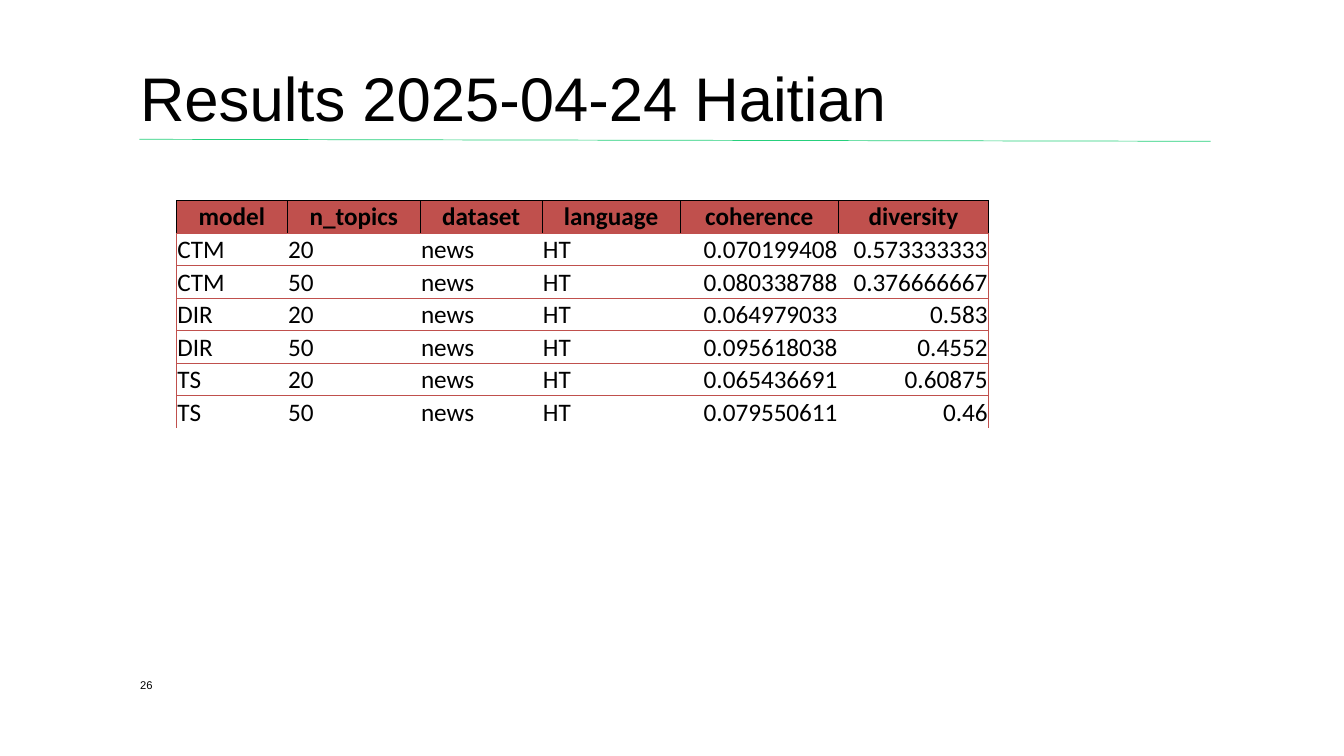
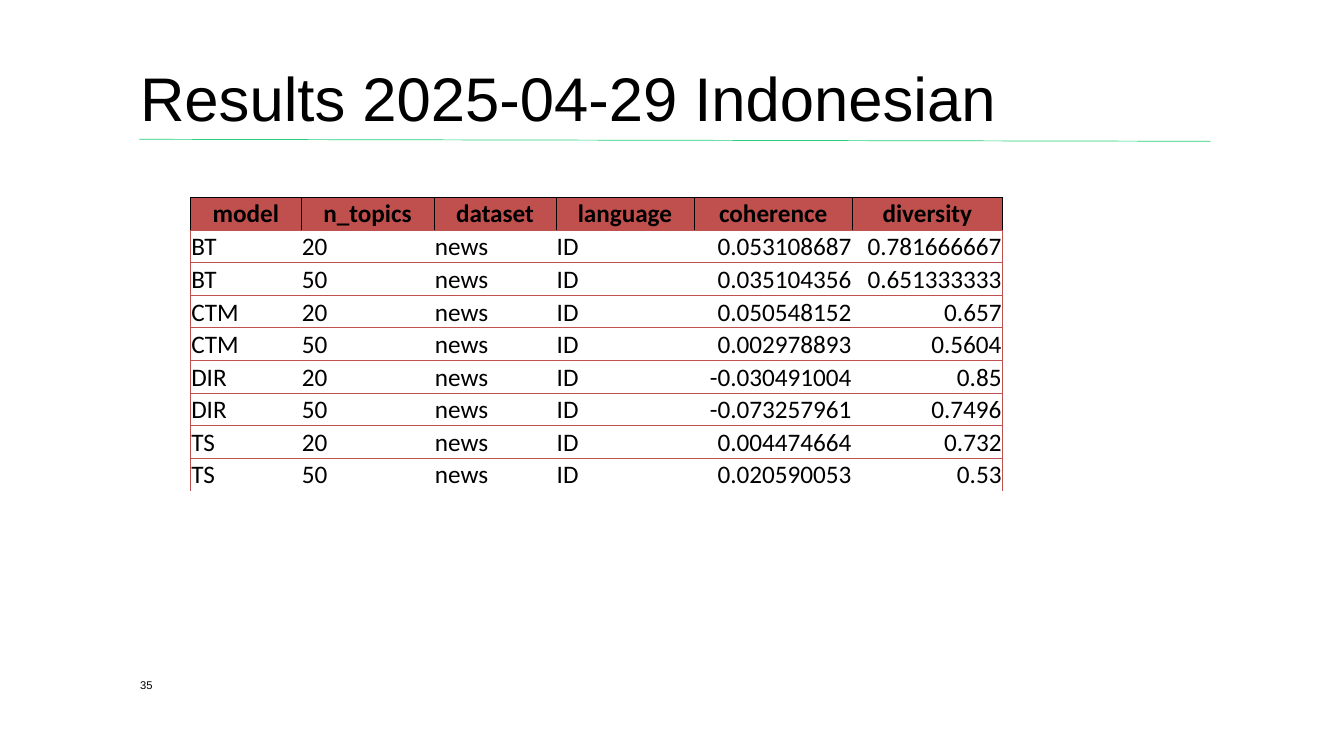
from dataclasses import dataclass

from lxml.etree import SubElement
from pptx import Presentation
from pptx.dml.color import RGBColor
from pptx.enum.shapes import MSO_CONNECTOR
from pptx.enum.text import MSO_ANCHOR, PP_ALIGN
from pptx.oxml import parse_xml
from pptx.oxml.ns import nsdecls, qn
from pptx.util import Cm, Pt


@dataclass(frozen=True)
class Theme:
    text: str = "000000"
    accent: str = "C0504D"
    rule: str = "26D07C"
    font: str = "Arial"
    table_font: str = "Calibri"
    title_size: int = 44
    table_size: int = 18
    number_size: int = 8
    line_width: float = 0.5


theme = Theme()
NO_STYLE = "{2D5ABB26-0587-4C30-8999-92F81FD0307C}"
HEADERS = ["model", "n_topics", "dataset", "language", "coherence", "diversity"]
COL_WIDTHS = [2.79, 3.35, 3.07, 3.48, 3.99, 3.78]
ROW_HEIGHT = 0.82
LAST_COL = len(HEADERS) - 1
FIRST_NUMERIC_COL = HEADERS.index("coherence")

RESULTS = [
    ("Results 2025-04-24 Haitian", "26", "HT", 4.45, 5.05, [
        ("CTM", "20", "0.070199408", "0.573333333"),
        ("CTM", "50", "0.080338788", "0.376666667"),
        ("DIR", "20", "0.064979033", "0.583"),
        ("DIR", "50", "0.095618038", "0.4552"),
        ("TS", "20", "0.065436691", "0.60875"),
        ("TS", "50", "0.079550611", "0.46"),
    ]),
    ("Results 2025-04-29 Indonesian", "35", "ID", 4.8, 4.98, [
        ("BT", "20", "0.053108687", "0.781666667"),
        ("BT", "50", "0.035104356", "0.651333333"),
        ("CTM", "20", "0.050548152", "0.657"),
        ("CTM", "50", "0.002978893", "0.5604"),
        ("DIR", "20", "-0.030491004", "0.85"),
        ("DIR", "50", "-0.073257961", "0.7496"),
        ("TS", "20", "0.004474664", "0.732"),
        ("TS", "50", "0.020590053", "0.53"),
    ]),
]


def write(tf, text, font, size, bold=False):
    tf.text = text
    p = tf.paragraphs[0]
    r = p.runs[0]
    r.font.name = font
    r.font.size = Pt(size)
    r.font.bold = bold
    r.font.color.rgb = RGBColor.from_string(theme.text)
    return p


def set_borders(cell, colors):
    tc_pr = cell._tc.get_or_add_tcPr()
    sides = [side for side in "LRTB" if side in colors]
    for i, side in enumerate(sides):
        tc_pr.insert(i, parse_xml(
            f'<a:ln{side} {nsdecls("a")} w="{Pt(theme.line_width)}"><a:solidFill>'
            f'<a:srgbClr val="{colors[side]}"/></a:solidFill></a:ln{side}>'))


prs = Presentation()
prs.slide_width, prs.slide_height = Cm(33.87), Cm(19.05)

for title, number, language, left, top, scores in RESULTS:
    s = prs.slides.add_slide(prs.slide_layouts[6])

    rule = s.shapes.add_connector(
        MSO_CONNECTOR.STRAIGHT, Cm(3.51), Cm(3.51), Cm(30.51), Cm(3.56))
    rule.line.color.rgb = RGBColor.from_string(theme.rule)
    rule.line.width = Pt(theme.line_width)
    SubElement(rule._element.spPr, qn("a:effectLst"))

    for text, size, spacing, y, width, height in [
        (title, theme.title_size, 0.9, 1.02, 26.97, 2.39),
        (number, theme.number_size, 1.0, 16.76, 1.27, 0.66),
    ]:
        tf = s.shapes.add_textbox(Cm(3.53), Cm(y), Cm(width), Cm(height)).text_frame
        tf.word_wrap = True
        tf.vertical_anchor = MSO_ANCHOR.BOTTOM
        tf.margin_left = tf.margin_right = tf.margin_top = tf.margin_bottom = 0
        write(tf, text, theme.font, size).line_spacing = spacing

    rows = [HEADERS] + [
        (model, topics, "news", language, coherence, diversity)
        for model, topics, coherence, diversity in scores]
    table = s.shapes.add_table(
        len(rows), len(HEADERS), Cm(left), Cm(top),
        Cm(sum(COL_WIDTHS)), Cm(ROW_HEIGHT * len(rows))).table
    table.first_row = table.horz_banding = False
    table._tbl.tblPr.find(qn("a:tableStyleId")).text = NO_STYLE
    for col, width in zip(table.columns, COL_WIDTHS):
        col.width = Cm(width)

    for i, row in enumerate(rows):
        table.rows[i].height = Cm(ROW_HEIGHT)
        for j, text in enumerate(row):
            cell = table.cell(i, j)
            cell.margin_left = cell.margin_right = cell.margin_top = Cm(0.02)
            cell.margin_bottom = 0
            p = write(cell.text_frame, text, theme.table_font, theme.table_size, i == 0)
            if i == 0:
                p.alignment = PP_ALIGN.CENTER
                cell.vertical_anchor = MSO_ANCHOR.TOP
                cell.fill.solid()
                cell.fill.fore_color.rgb = RGBColor.from_string(theme.accent)
                borders = dict.fromkeys("LRT", theme.text)
                borders["B"] = theme.accent
            else:
                p.alignment = PP_ALIGN.RIGHT if j >= FIRST_NUMERIC_COL else PP_ALIGN.LEFT
                cell.vertical_anchor = MSO_ANCHOR.BOTTOM
                cell.fill.background()
                borders = {"T": theme.accent}
                if i < len(rows) - 1:
                    borders["B"] = theme.accent
                if j == 0:
                    borders["L"] = theme.accent
                if j == LAST_COL:
                    borders["R"] = theme.accent
            set_borders(cell, borders)

prs.save("out.pptx")
